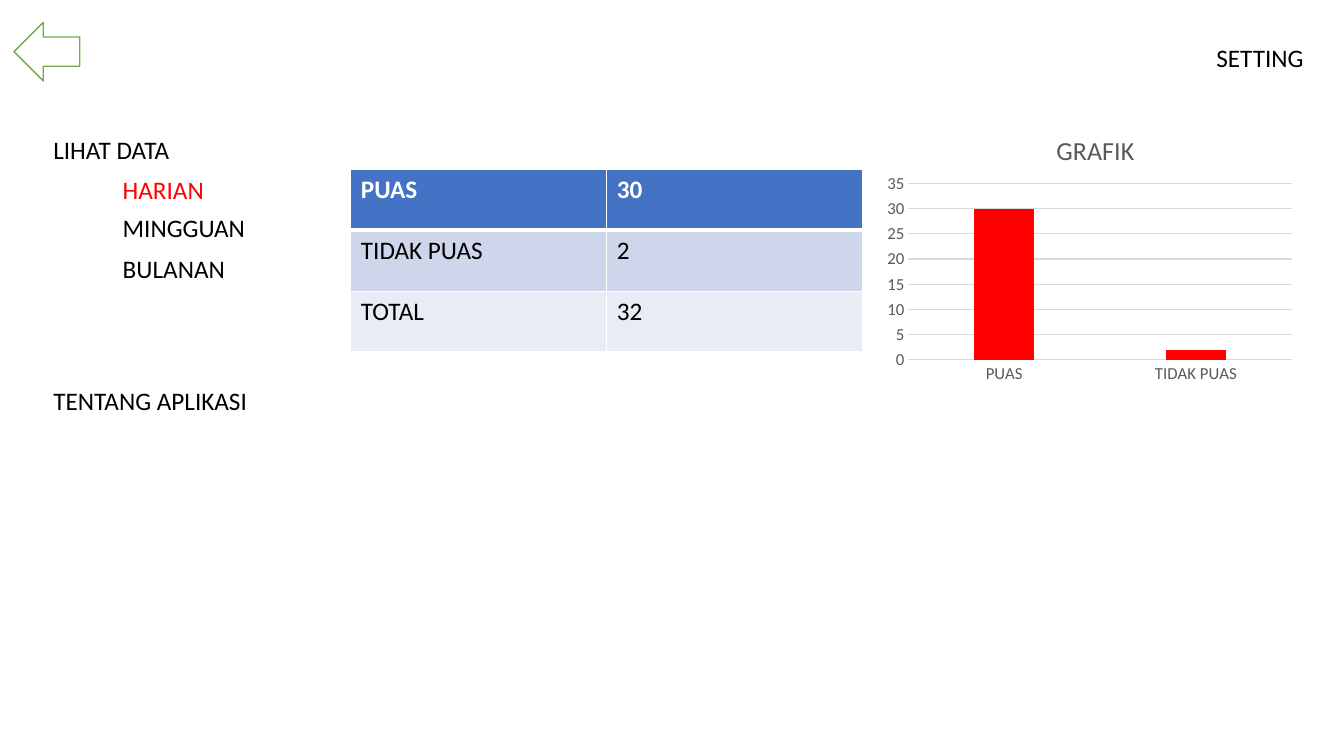
from dataclasses import dataclass
from typing import Any

from lxml import etree
from pptx import Presentation
from pptx.chart.data import CategoryChartData
from pptx.dml.color import RGBColor
from pptx.enum.chart import XL_CHART_TYPE, XL_TICK_MARK
from pptx.enum.shapes import MSO_SHAPE
from pptx.enum.text import MSO_AUTO_SIZE
from pptx.oxml import parse_xml
from pptx.oxml.ns import nsdecls, qn
from pptx.util import Pt

COLUMN = XL_CHART_TYPE.COLUMN_CLUSTERED
NO_TICK = XL_TICK_MARK.NONE
ARROW = MSO_SHAPE.LEFT_ARROW
GROW = MSO_AUTO_SIZE.SHAPE_TO_FIT_TEXT


@dataclass(frozen=True)
class Theme:
    font: str = "Calibri"
    body: float = 18
    title: float = 18.6
    axis: float = 12
    black: str = "000000"
    white: str = "FFFFFF"
    red: str = "FF0000"
    green: str = "70AD47"
    grey: str = "595959"
    grid: str = "D9D9D9"
    bands: tuple[str, ...] = ("4472C4", "CFD5EA", "E9EBF5")


@dataclass(frozen=True)
class Label:
    text: str
    left: float
    top: float
    width: float
    color: str


THEME = Theme()
MENU, ITEM = 31, 80.6
LABELS = (
    Label("LIHAT DATA", MENU, 92.2, 98, THEME.black),
    Label("HARIAN", ITEM, 121, 72.8, THEME.red),
    Label("MINGGUAN", ITEM, 148.3, 103, THEME.black),
    Label("BULANAN", ITEM, 177.1, 87.8, THEME.black),
    Label("TENTANG APLIKASI", MENU, 271.4, 154, THEME.black),
    Label("SETTING", 861.8, 26.6, 77, THEME.black),
)
SCORES = {"PUAS": 30, "TIDAK PUAS": 2}
ROWS = [*SCORES.items(), ("TOTAL", sum(SCORES.values()))]


def rgb(color: str) -> RGBColor:
    return RGBColor.from_string(color)


def style(font: Any, size: float, color: str, bold: bool = False) -> None:
    font.name = THEME.font
    font.size = Pt(size)
    font.bold = bold
    font.color.rgb = rgb(color)


def add_label(slide: Any, label: Label) -> None:
    box = slide.shapes.add_textbox(
        Pt(label.left), Pt(label.top), Pt(label.width), Pt(29))
    frame = box.text_frame
    frame.text = label.text
    frame.word_wrap = False
    frame.auto_size = GROW
    style(frame.paragraphs[0].runs[0].font, THEME.body, label.color)


def add_edge(cell: Any, heavy: str) -> None:
    """Draw white cell borders, with the side named heavy at 3 pt."""
    props = cell._tc.get_or_add_tcPr()
    for side in ("lnL", "lnR", "lnT", "lnB"):
        width = Pt(3 if side == heavy else 1)
        line = etree.SubElement(props, qn(f"a:{side}"), w=str(width))
        fill = etree.SubElement(line, qn("a:solidFill"))
        etree.SubElement(fill, qn("a:srgbClr"), val=THEME.white)


def add_scores(slide: Any) -> None:
    frame = slide.shapes.add_table(
        len(ROWS), 2, Pt(250.6), Pt(121), Pt(365.8), Pt(130.5))
    table = frame.table
    for row, values in enumerate(ROWS):
        head = row == 0
        heavy = {0: "lnB", 1: "lnT"}.get(row, "")
        for col, value in enumerate(values):
            cell = table.cell(row, col)
            cell.text_frame.text = str(value)
            font = cell.text_frame.paragraphs[0].runs[0].font
            style(font, THEME.body, THEME.white if head else THEME.black, head)
            add_edge(cell, heavy)
            cell.fill.solid()
            cell.fill.fore_color.rgb = rgb(THEME.bands[row])


def place(part: Any, after: str, spot: dict[str, float], inner: bool) -> None:
    """Fix a chart part at fractions of the chart, behind the tag after."""
    for old in part.findall(qn("c:layout")):
        part.remove(old)
    layout = parse_xml(f"<c:layout {nsdecls('c')}><c:manualLayout/></c:layout>")
    manual = layout[0]
    if inner:
        etree.SubElement(manual, qn("c:layoutTarget"), val="inner")
    for mode in ("xMode", "yMode"):
        etree.SubElement(manual, qn(f"c:{mode}"), val="edge")
    for key, value in spot.items():
        etree.SubElement(manual, qn(f"c:{key}"), val=str(value))
    prior = part.find(qn(after)) if after else None
    part.insert(0 if prior is None else part.index(prior) + 1, layout)


def add_graph(slide: Any) -> None:
    data = CategoryChartData()
    data.categories = list(SCORES)
    data.add_series("Series 1", list(SCORES.values()))
    frame = slide.shapes.add_chart(
        COLUMN, Pt(627.8), Pt(77), Pt(301), Pt(200.2), data)
    chart = frame.chart
    chart.has_legend = False
    chart.font.name = THEME.font
    title = chart.chart_title
    title.text_frame.text = "GRAFIK"
    style(title.text_frame.paragraphs[0].runs[0].font, THEME.title, THEME.grey)
    title.include_in_layout = False
    place(title._element, "c:tx", {"x": 0.41, "y": 0.07}, False)
    area = chart._chartSpace.chart.plotArea
    place(area, "", {"x": 0.07, "y": 0.27, "w": 0.91, "h": 0.63}, True)

    plot = chart.plots[0]
    plot.vary_by_categories = False
    plot.gap_width = 219
    plot.overlap = -27
    bars = plot.series[0].format.fill
    bars.solid()
    bars.fore_color.rgb = rgb(THEME.red)

    names, scale = chart.category_axis, chart.value_axis
    for axis in (names, scale):
        axis.major_tick_mark = axis.minor_tick_mark = NO_TICK
        style(axis.tick_labels.font, THEME.axis, THEME.grey)
    scale.minimum_scale, scale.maximum_scale, scale.major_unit = 0, 35, 5
    scale.format.line.fill.background()
    for line in (names.format.line, scale.major_gridlines.format.line):
        line.color.rgb = rgb(THEME.grid)
        line.width = Pt(0.75)


def add_back(slide: Any) -> None:
    arrow = slide.shapes.add_shape(ARROW, Pt(10), Pt(16), Pt(47), Pt(41.8))
    arrow.shadow.inherit = False
    arrow.fill.solid()
    arrow.fill.fore_color.rgb = rgb(THEME.white)
    arrow.line.color.rgb = rgb(THEME.green)
    arrow.line.width = Pt(1)


def main() -> None:
    deck = Presentation()
    deck.slide_width, deck.slide_height = Pt(960), Pt(540)
    slide = deck.slides.add_slide(deck.slide_layouts[6])
    for label in LABELS:
        add_label(slide, label)
    add_scores(slide)
    add_graph(slide)
    add_back(slide)
    deck.save("out.pptx")


if __name__ == "__main__":
    main()
